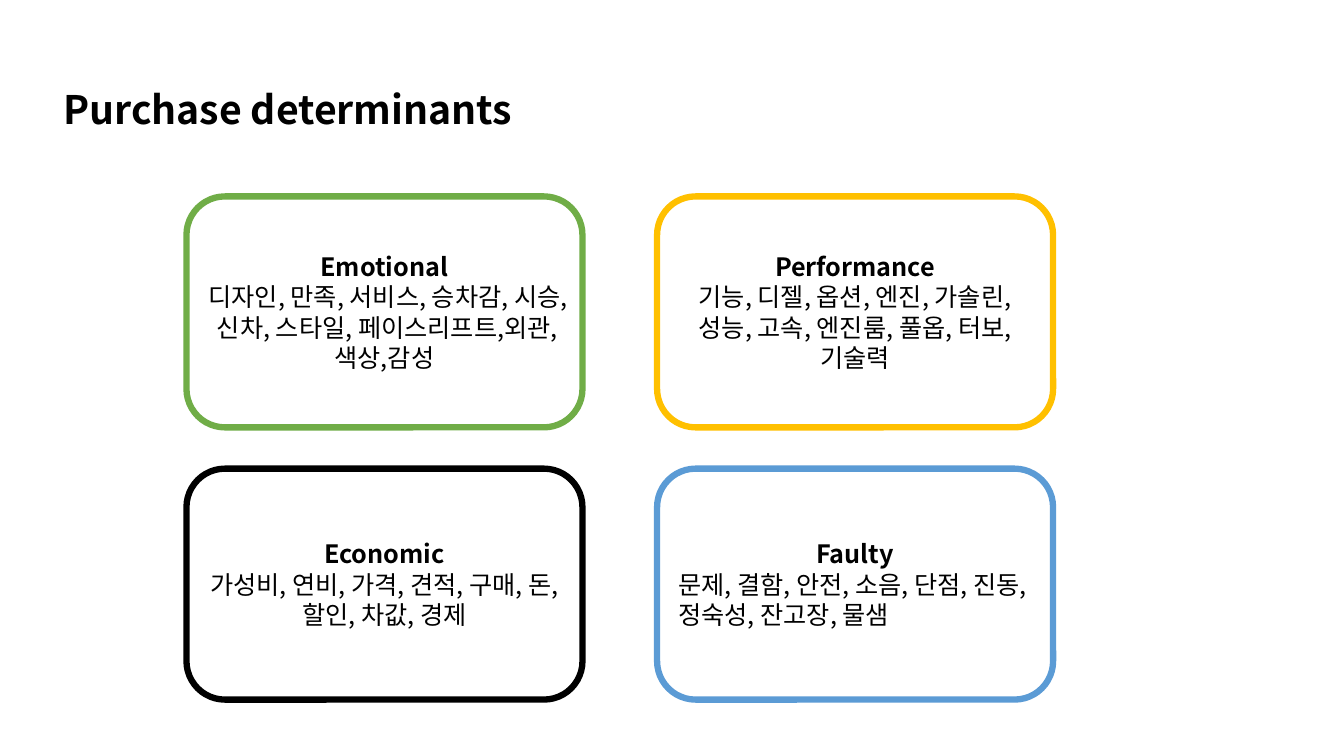
from dataclasses import dataclass
from lxml import etree
from pptx import Presentation
from pptx import util as u
from pptx.dml.color import RGBColor
from pptx.enum import shapes, text
from pptx.oxml.ns import qn


@dataclass(frozen=True)
class Theme:
    font: str = "Noto Sans CJK KR"
    ink: str = "000000"
    paper: str = "FFFFFF"
    green: str = "70AD47"
    gold: str = "FFC000"
    blue: str = "5B9BD5"
    head: int = 28
    body: int = 18
    edge: float = 4.5


class Deck:
    def __init__(self, theme):
        self.theme = theme
        self.prs = Presentation()
        self.prs.slide_width = u.Cm(33.87)
        self.prs.slide_height = u.Cm(19.05)
        self.slide = self.prs.slides.add_slide(self.prs.slide_layouts[6])

    def label(self, para, words, size, bold, align):
        para.alignment = align
        run = para.add_run()
        run.text = words
        style = {"name": self.theme.font, "size": u.Pt(size), "bold": bold}
        for key, value in style.items():
            setattr(run.font, key, value)
        run.font.color.rgb = RGBColor.from_string(self.theme.ink)
        east = etree.SubElement(run._r.get_or_add_rPr(), qn("a:ea"))
        east.set("typeface", self.theme.font)

    def title(self, words, *area):
        box = self.slide.shapes.add_textbox(*map(u.Cm, area))
        frame = box.text_frame
        frame.word_wrap = True
        frame.vertical_anchor = text.MSO_ANCHOR.MIDDLE
        para = frame.paragraphs[0]
        para.line_spacing = 0.9
        self.label(para, words, self.theme.head, True, text.PP_ALIGN.LEFT)

    def card(self, name, words, color, align, *area):
        kind = shapes.MSO_SHAPE.ROUNDED_RECTANGLE
        box = self.slide.shapes.add_shape(kind, *map(u.Cm, area))
        box.shadow.inherit = False
        box.fill.solid()
        box.fill.fore_color.rgb = RGBColor.from_string(self.theme.paper)
        box.line.color.rgb = RGBColor.from_string(color)
        box.line.width = u.Pt(self.theme.edge)
        frame = box.text_frame
        frame.word_wrap = True
        frame.vertical_anchor = text.MSO_ANCHOR.MIDDLE
        size = self.theme.body
        self.label(frame.paragraphs[0], name, size, True, text.PP_ALIGN.CENTER)
        self.label(frame.add_paragraph(), words, size, False, align)


def main():
    theme = Theme()
    deck = Deck(theme)
    deck.title("Purchase determinants", 1.35, 0.97, 29.2, 3.68)
    mid, left = text.PP_ALIGN.CENTER, text.PP_ALIGN.LEFT
    cards = [
        ("Emotional", "디자인, 만족, 서비스, 승차감, 시승, 신차, 스타일, 페이스리프트,외관,색상,감성",
         theme.green, mid),
        ("Performance", "기능, 디젤, 옵션, 엔진, 가솔린, 성능, 고속, 엔진룸, 풀옵, 터보,기술력",
         theme.gold, mid),
        ("Economic", "가성비, 연비, 가격, 견적, 구매, 돈, 할인, 차값, 경제", theme.ink, mid),
        ("Faulty", "문제, 결함, 안전, 소음, 단점, 진동, 정숙성, 잔고장, 물샘", theme.blue, left),
    ]
    for i, card in enumerate(cards):
        row, col = divmod(i, 2)
        deck.card(*card, 4.7 + col * 11.86, 4.95 + row * 6.86, 9.98, 5.82)
    deck.prs.save("out.pptx")


if __name__ == "__main__":
    main()
